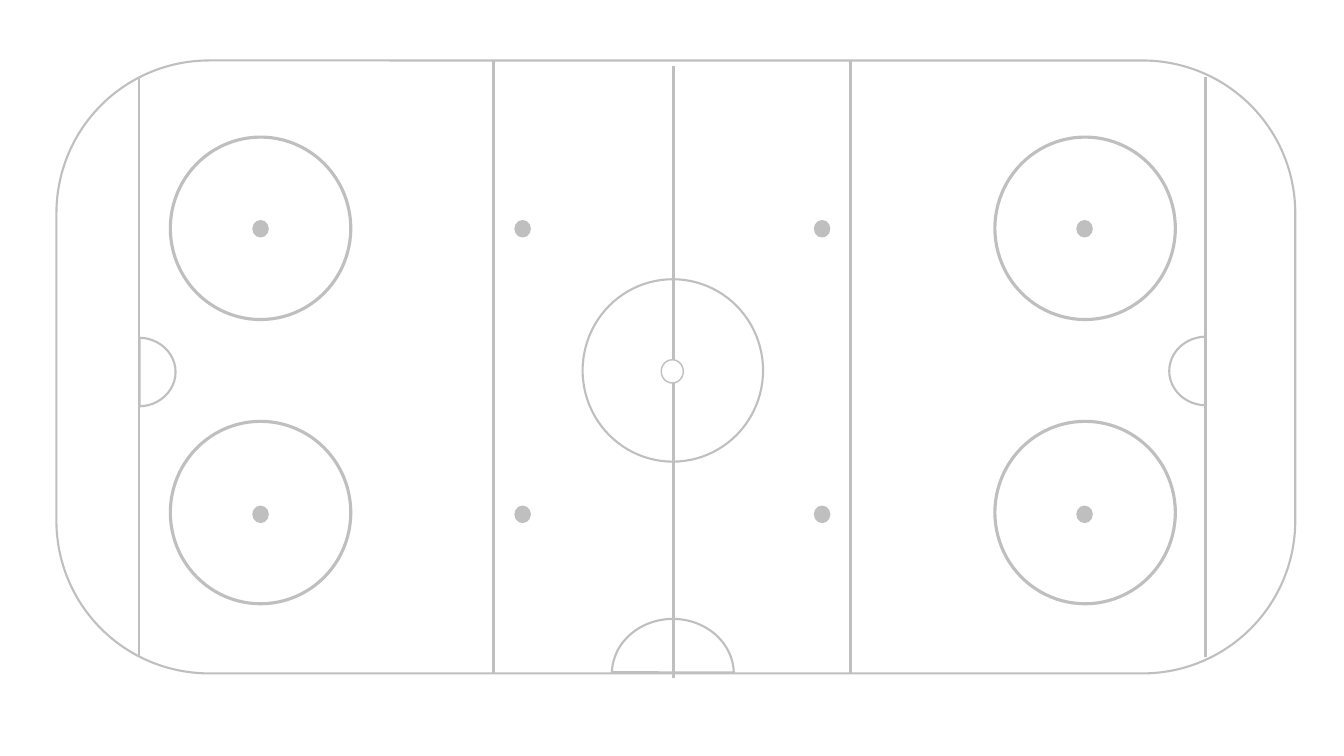
from dataclasses import dataclass
from itertools import product
from typing import Optional

import pptx
import pptx.dml.color
import pptx.enum.shapes
import pptx.oxml.ns
import pptx.util
from lxml import etree

COLORS = {"marking": "BFBFBF", "ice": "FFFFFF"}
SHAPE = pptx.enum.shapes.MSO_SHAPE
Pt = pptx.util.Pt


@dataclass
class Marking:
    """A shape placed by its centre, in points."""
    kind: int
    x: float
    y: float
    width: float
    height: float
    weight: float
    fill: Optional[str] = None
    adjustments: tuple[float, ...] = ()
    rotation: float = 0


@dataclass
class RinkLine:
    """A vertical line, in points."""
    x: float
    top: float
    bottom: float
    weight: float


def color(name: str) -> pptx.dml.color.RGBColor:
    return pptx.dml.color.RGBColor.from_string(COLORS[name])


def draw_marking(page, marking: Marking) -> None:
    shape = page.shapes.add_shape(
        marking.kind,
        Pt(marking.x - marking.width / 2), Pt(marking.y - marking.height / 2),
        Pt(marking.width), Pt(marking.height))
    shape.shadow.inherit = False
    shape.rotation = marking.rotation
    for index, value in enumerate(marking.adjustments):
        shape.adjustments[index] = value
    if marking.fill:
        shape.fill.solid()
        shape.fill.fore_color.rgb = color(marking.fill)
    else:
        shape.fill.background()
    shape.line.color.rgb = color("marking")
    shape.line.width = Pt(marking.weight)


def draw_line(page, line: RinkLine) -> None:
    connector = page.shapes.add_connector(
        pptx.enum.shapes.MSO_CONNECTOR.STRAIGHT,
        Pt(line.x), Pt(line.top), Pt(line.x), Pt(line.bottom))
    connector.line.color.rgb = color("marking")
    connector.line.width = Pt(line.weight)
    etree.SubElement(connector.element.spPr, pptx.oxml.ns.qn("a:effectLst"))


def circle(x: float, y: float, weight: float) -> Marking:
    return Marking(SHAPE.OVAL, x, y, 128.9, 130.3, weight)


def dot(x: float, y: float) -> Marking:
    return Marking(SHAPE.OVAL, x, y, 10.8, 11.5, 1, "marking")


def crease(x: float, y: float, width: float, height: float, rotation: float) -> Marking:
    return Marking(SHAPE.CHORD, x, y, width, height, 1.5,
                   adjustments=(54.906, 161.206), rotation=rotation)


# Boards, centre line and goal lines
boards = Marking(SHAPE.ROUNDED_RECTANGLE, 482.75, 262.1, 884.9, 437.8, 1.5,
                 adjustments=(0.249,))
long_lines = [RinkLine(481, 46.8, 484.6, 2.25)]
long_lines += [RinkLine(x, 54.7, 469.4, 1.5) for x in (861.1, 99.4)]

# Centre spot, face-off circles and dots
center_spot = Marking(SHAPE.OVAL, 480.2, 265.3, 15.8, 16.6, 1, "ice")
circles = [circle(480.6, 264.6, 1.5)]
circles += [circle(x, y, 2.25) for x, y in product((186.1, 775.1), (163.1, 366.1))]
dots = [dot(x, y) for x, y in product((186.1, 373.3, 587.2, 774.7), (163.4, 367.4))]

# Blue lines, goal creases and referee crease
blue_lines = [RinkLine(x, 43.9, 481, 2.25) for x in (352.8, 607.7)]
creases = [
    crease(99.1, 265.7, 52.6, 49, 180),
    crease(861.5, 265, 52.6, 49, 0),
    crease(480.6, 481.3, 78.5, 87.1, 90),
]


def main() -> None:
    deck = pptx.Presentation()
    deck.slide_width, deck.slide_height = Pt(960), Pt(540)
    page = deck.slides.add_slide(deck.slide_layouts[6])
    page.background.fill.solid()
    page.background.fill.fore_color.rgb = color("ice")

    # Back to front
    for part in [boards, *long_lines, center_spot, *circles, *dots, *blue_lines, *creases]:
        if isinstance(part, RinkLine):
            draw_line(page, part)
        else:
            draw_marking(page, part)
    deck.save("out.pptx")


if __name__ == "__main__":
    main()
